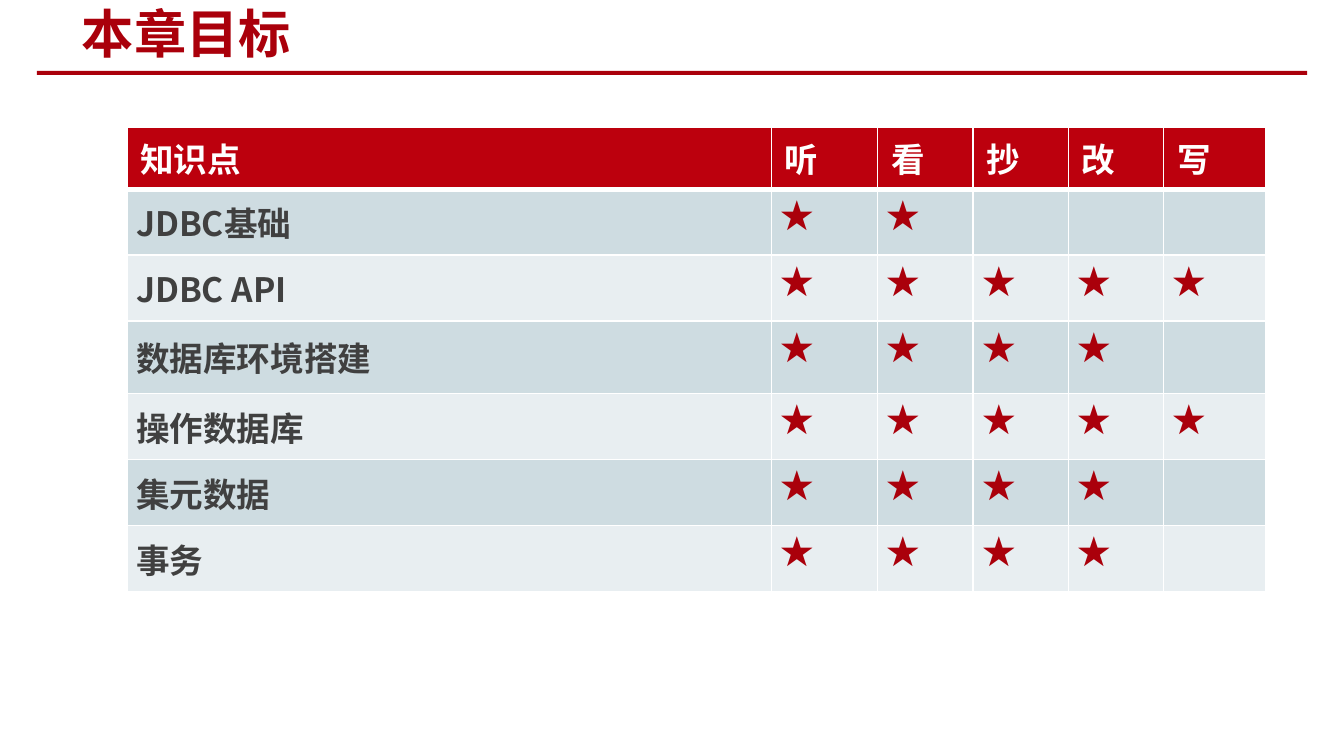
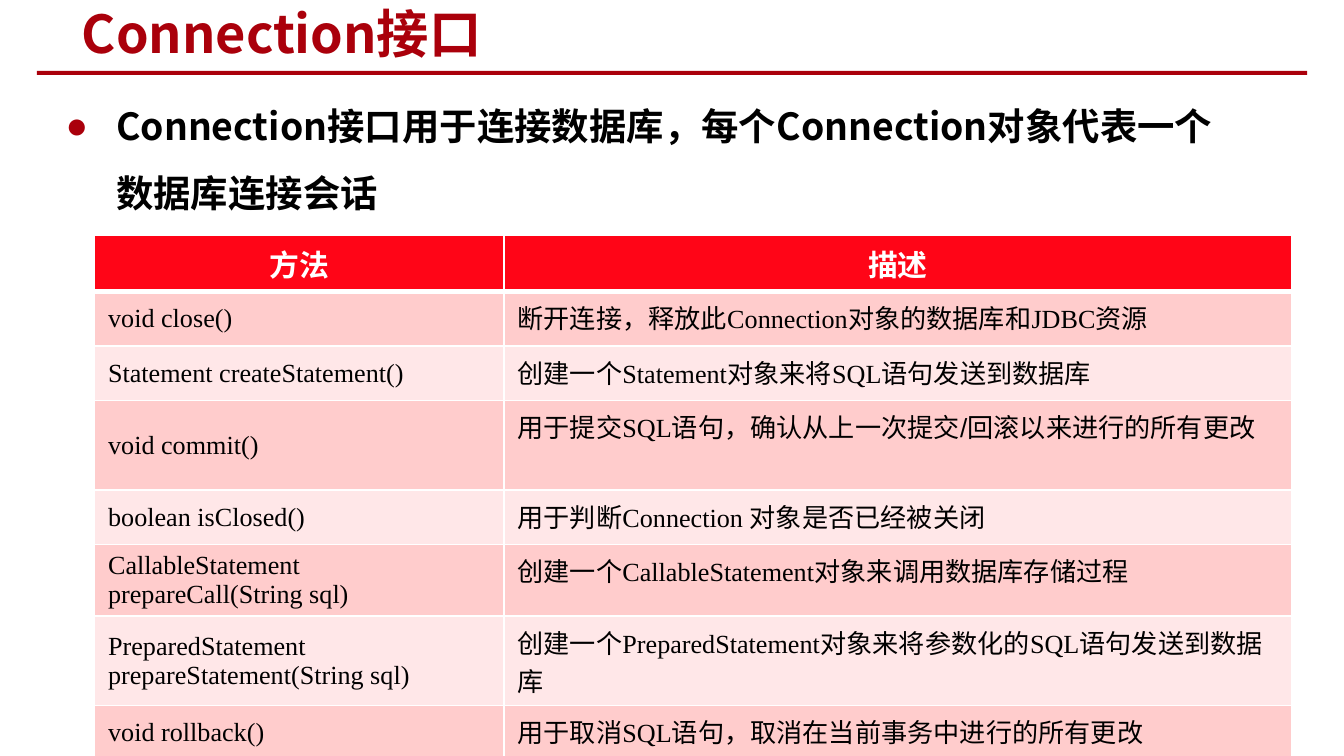
from itertools import groupby

from lxml.etree import SubElement
from pptx import Presentation
from pptx.dml.color import RGBColor
from pptx.enum.shapes import MSO_SHAPE
from pptx.enum.text import MSO_ANCHOR, MSO_AUTO_SIZE, PP_ALIGN
from pptx.oxml.ns import qn
from pptx.util import Pt

RECT = MSO_SHAPE.RECTANGLE
TOP, MIDDLE = MSO_ANCHOR.TOP, MSO_ANCHOR.MIDDLE
LEFT, CENTER = PP_ALIGN.LEFT, PP_ALIGN.CENTER
NO_FIT = MSO_AUTO_SIZE.NONE

RED = RGBColor(0xAA, 0x00, 0x0B)
WHITE = RGBColor(0xFF, 0xFF, 0xFF)
BLACK = RGBColor(0x00, 0x00, 0x00)
GRAY = RGBColor(0x40, 0x40, 0x40)
CRIMSON = RGBColor(0xBC, 0x00, 0x0D)
SCARLET = RGBColor(0xFF, 0x05, 0x17)
BLUES = RGBColor(0xCE, 0xDC, 0xE1), RGBColor(0xE8, 0xEE, 0xF1)
PINKS = RGBColor(0xFF, 0xCC, 0xCC), RGBColor(0xFF, 0xE7, 0xE8)

SANS = "Noto Sans CJK SC"
SERIF = "Times New Roman"
ARIAL = "Arial"
HEAD = "Calibri"

SKILLS = ["听", "看", "抄", "改", "写"]
GOALS = [
    ("JDBC基础", 2),
    ("JDBC API", 5),
    ("数据库环境搭建", 4),
    ("操作数据库", 5),
    ("集元数据", 4),
    ("事务", 4),
]
METHODS = [
    ("void close()", "断开连接，释放此Connection对象的数据库和JDBC资源"),
    ("Statement createStatement()", "创建一个Statement对象来将SQL语句发送到数据库"),
    ("void commit()", "用于提交SQL语句，确认从上一次提交/回滚以来进行的所有更改"),
    ("boolean isClosed()", "用于判断Connection 对象是否已经被关闭"),
    ("CallableStatement prepareCall(String sql)",
     "创建一个CallableStatement对象来调用数据库存储过程"),
    ("PreparedStatement prepareStatement(String sql)",
     "创建一个PreparedStatement对象来将参数化的SQL语句发送到数据库"),
    ("void rollback()", "用于取消SQL语句，取消在当前事务中进行的所有更改"),
]


def set_face(font, name):
    font.name = name
    SubElement(font._element, qn("a:ea")).set("typeface", SANS)


def style(para, size, color, bold, name=None):
    font = para.font
    font.size = Pt(size)
    font.bold = bold
    font.color.rgb = color
    if name:
        set_face(font, name)


def place(shape, left, top, width, height):
    shape.left, shape.top = Pt(left), Pt(top)
    shape.width, shape.height = Pt(width), Pt(height)


def is_code(char):
    return char.isascii() and char != "/"


def add_mixed(para, text):
    for code, chars in groupby(text, is_code):
        run = para.add_run()
        run.text = "".join(chars)
        set_face(run.font, SERIF if code else ARIAL)


def add_bar(deck, slide):
    bar = slide.shapes.add_shape(RECT, Pt(19.8), Pt(38), Pt(680.4), Pt(2.2))
    bar.fill.solid()
    bar.fill.fore_color.rgb = RED
    bar.line.fill.background()
    bar.shadow.inherit = False
    deck.slide_master.element.cSld.spTree.append(bar.element)


def add_title(slide, text, width):
    title = slide.shapes.title
    place(title, 36.7, 1.4, width, 32.4)
    frame = title.text_frame
    frame.text = text
    frame.auto_size = NO_FIT
    frame.vertical_anchor = MIDDLE
    para = frame.paragraphs[0]
    para.alignment = LEFT
    style(para, 28, RED, True, SANS)


def add_body(slide, text):
    body = slide.placeholders[1]
    place(body, 28, 39.6, 646.6, 95.8)
    frame = body.text_frame
    frame.text = text
    frame.auto_size = NO_FIT
    para = frame.paragraphs[0]
    para.line_spacing = 1.5
    para.space_before = Pt(4)
    props = para._p.get_or_add_pPr()
    props.set("marL", str(Pt(27)))
    props.set("indent", str(-Pt(27)))
    tint = SubElement(props, qn("a:buClr"))
    SubElement(tint, qn("a:srgbClr")).set("val", str(RED))
    SubElement(props, qn("a:buChar")).set("char", "●")
    style(para, 20, BLACK, True, SANS)


def set_edges(cell, row):
    props = cell._tc.get_or_add_tcPr()
    thick = {"lnT": row == 1, "lnB": row == 0}
    for side in ("lnL", "lnR", "lnT", "lnB"):
        edge = SubElement(props, qn("a:" + side))
        edge.set("w", str(Pt(3 if thick.get(side) else 1)))
        fill = SubElement(edge, qn("a:solidFill"))
        SubElement(fill, qn("a:srgbClr")).set("val", str(WHITE))


def add_grid(slide, left, top, cols, rows, head, bands):
    frame = slide.shapes.add_table(
        len(rows), len(cols), Pt(left), Pt(top), Pt(sum(cols)), Pt(sum(rows)))
    table = frame.table
    table.first_row = table.horz_banding = False
    for col, width in zip(table.columns, cols):
        col.width = Pt(width)
    for row, height in zip(table.rows, rows):
        row.height = Pt(height)
    for r, row in enumerate(table.rows):
        for cell in row.cells:
            set_edges(cell, r)
            cell.fill.solid()
            cell.fill.fore_color.rgb = bands[(r - 1) % 2] if r else head
    return table


def write(cell, text, size, color, bold, name, anchor=TOP):
    cell.text = text
    cell.vertical_anchor = anchor
    para = cell.text_frame.paragraphs[0]
    style(para, size, color, bold, name)
    return para


def trim(cell):
    cell.margin_left = cell.margin_right = Pt(5)
    cell.margin_top = cell.margin_bottom = 0


def add_goals(slide):
    cols = [345.4, 56.9, 51.1, 51.1, 51.1, 54.7]
    rows = [32, 35.4, 35.4, 38.7, 35.4, 35.4, 35.4]
    table = add_grid(slide, 67.9, 68, cols, rows, CRIMSON, BLUES)
    for c, text in enumerate(["知识点"] + SKILLS):
        write(table.cell(0, c), text, 18, WHITE, True, SANS)
    for r, (goal, stars) in enumerate(GOALS, 1):
        cell = table.cell(r, 0)
        trim(cell)
        write(cell, goal, 18, GRAY, True, SANS, MIDDLE)
        for c in range(1, stars + 1):
            cell = table.cell(r, c)
            trim(cell)
            write(cell, "★", 18, RED, True, SANS)


def add_methods(slide):
    rows = [29.2] * (len(METHODS) + 1)
    table = add_grid(slide, 50.7, 125.9, [219.4, 421.9], rows, SCARLET, PINKS)
    for c, text in enumerate(["方法", "描述"]):
        para = write(table.cell(0, c), text, 16, WHITE, True, HEAD)
        para.alignment = CENTER
    for r, (call, use) in enumerate(METHODS, 1):
        write(table.cell(r, 0), call, 14, BLACK, False, SERIF, MIDDLE)
        para = table.cell(r, 1).text_frame.paragraphs[0]
        style(para, 14, BLACK, False)
        add_mixed(para, use)


def main():
    deck = Presentation()
    deck.slide_width, deck.slide_height = Pt(720), Pt(405)

    goals = deck.slides.add_slide(deck.slide_layouts[5])
    add_bar(deck, goals)
    add_title(goals, "本章目标", 381.6)
    add_goals(goals)

    methods = deck.slides.add_slide(deck.slide_layouts[1])
    add_body(methods, "Connection接口用于连接数据库，每个Connection对象代表一个数据库连接会话")
    add_title(methods, "Connection接口", 493.2)
    add_methods(methods)

    deck.save("out.pptx")


if __name__ == "__main__":
    main()
